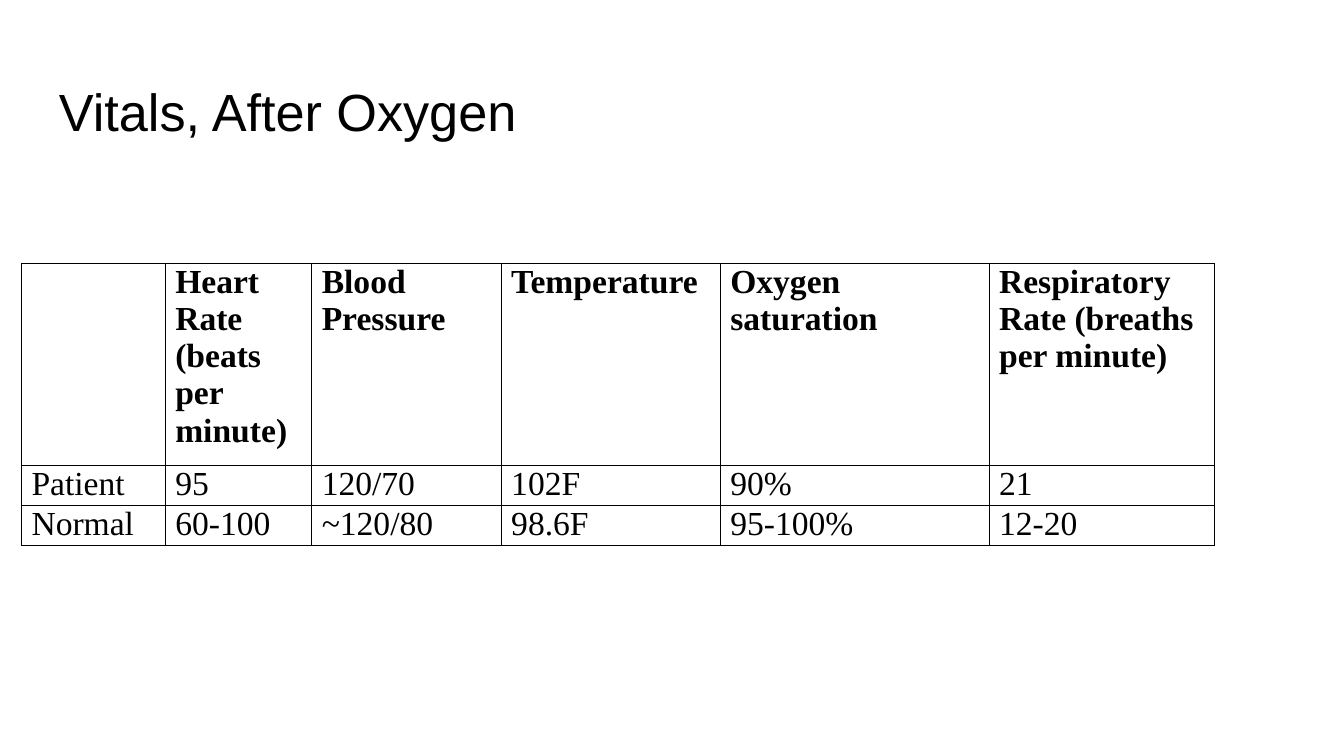
from typing import NamedTuple

import pptx
import pptx.dml.color
import pptx.enum.text
import pptx.oxml
import pptx.oxml.ns
import pptx.util
from pptx.util import Inches

BLACK = "000000"
BORDER_PT = 0.5


class Vital(NamedTuple):
    width: float
    heading: str
    patient: str
    normal: str


VITALS = [
    Vital(1.07, "", "Patient", "Normal"),
    Vital(1.09, "Heart Rate (beats per minute)", "95", "60-100"),
    Vital(1.41, "Blood Pressure", "120/70", "~120/80"),
    Vital(1.63, "Temperature", "102F", "98.6F"),
    Vital(2, "Oxygen saturation", "90%", "95-100%"),
    Vital(1.68, "Respiratory Rate (breaths per minute)", "21", "12-20"),
]
ROW_COUNT = 3
TABLE_HEIGHT = Inches(2.1)
TITLE_FONT = {"name": "Arial", "size": pptx.util.Pt(28), "bold": False}
CELL_FONT = {"name": "Times New Roman", "size": pptx.util.Pt(18)}
SIDE_MARGIN = Inches(0.15) // 2
CELL_MARGINS = {
    "margin_left": SIDE_MARGIN,
    "margin_right": SIDE_MARGIN,
    "margin_top": 0,
    "margin_bottom": 0,
}


def rgb(value: str) -> pptx.dml.color.RGBColor:
    return pptx.dml.color.RGBColor.from_string(value)


def set_attributes(target, values: dict) -> None:
    for name, value in values.items():
        setattr(target, name, value)


def write(p, text: str, font: dict) -> None:
    if text:
        r = p.add_run()
        r.text = text
        set_attributes(r.font, font)
        r.font.color.rgb = rgb(BLACK)


def add_borders(cell) -> None:
    """Outline a cell; the lines must precede its fill in the XML."""
    tc_pr = cell._tc.get_or_add_tcPr()
    for i, side in enumerate("LRTB"):
        line = pptx.oxml.parse_xml(
            f'<a:ln{side} {pptx.oxml.ns.nsdecls("a")} w="{pptx.util.Pt(BORDER_PT)}">'
            f'<a:solidFill><a:srgbClr val="{BLACK}"/></a:solidFill></a:ln{side}>'
        )
        tc_pr.insert(i, line)


def add_title(s, text: str) -> None:
    sp = s.shapes.add_textbox(Inches(0.34), Inches(0.49), Inches(9.32), Inches(0.63))
    tf = sp.text_frame
    margins = dict.fromkeys(CELL_MARGINS, Inches(0.1))
    set_attributes(tf, {"word_wrap": True, **margins})
    write(tf.paragraphs[0], text, TITLE_FONT)


def add_vitals_table(s, vitals: list[Vital]) -> None:
    """Add the table with rows that grow to fit their text."""
    width = sum(vital.width for vital in vitals)
    frame = s.shapes.add_table(
        ROW_COUNT, len(vitals),
        Inches(0.16), Inches(1.96), Inches(width), TABLE_HEIGHT,
    )
    table = frame.table
    set_attributes(table, {"first_row": False, "horz_banding": False})
    for row in table.rows:
        row.height = Inches(0)
    for col, vital in enumerate(vitals):
        table.columns[col].width = Inches(vital.width)
        for row, text in enumerate((vital.heading, vital.patient, vital.normal)):
            cell = table.cell(row, col)
            set_attributes(cell, CELL_MARGINS)
            cell.vertical_anchor = pptx.enum.text.MSO_ANCHOR.TOP
            cell.fill.background()
            add_borders(cell)
            write(cell.text_frame.paragraphs[0], text, {**CELL_FONT, "bold": row == 0})
    frame.height = TABLE_HEIGHT


def main() -> None:
    prs = pptx.Presentation()
    prs.slide_width = Inches(10)
    prs.slide_height = prs.slide_width * 9 // 16
    s = prs.slides.add_slide(prs.slide_layouts[6])
    add_title(s, "Vitals, After Oxygen")
    add_vitals_table(s, VITALS)
    prs.save("out.pptx")


if __name__ == "__main__":
    main()
